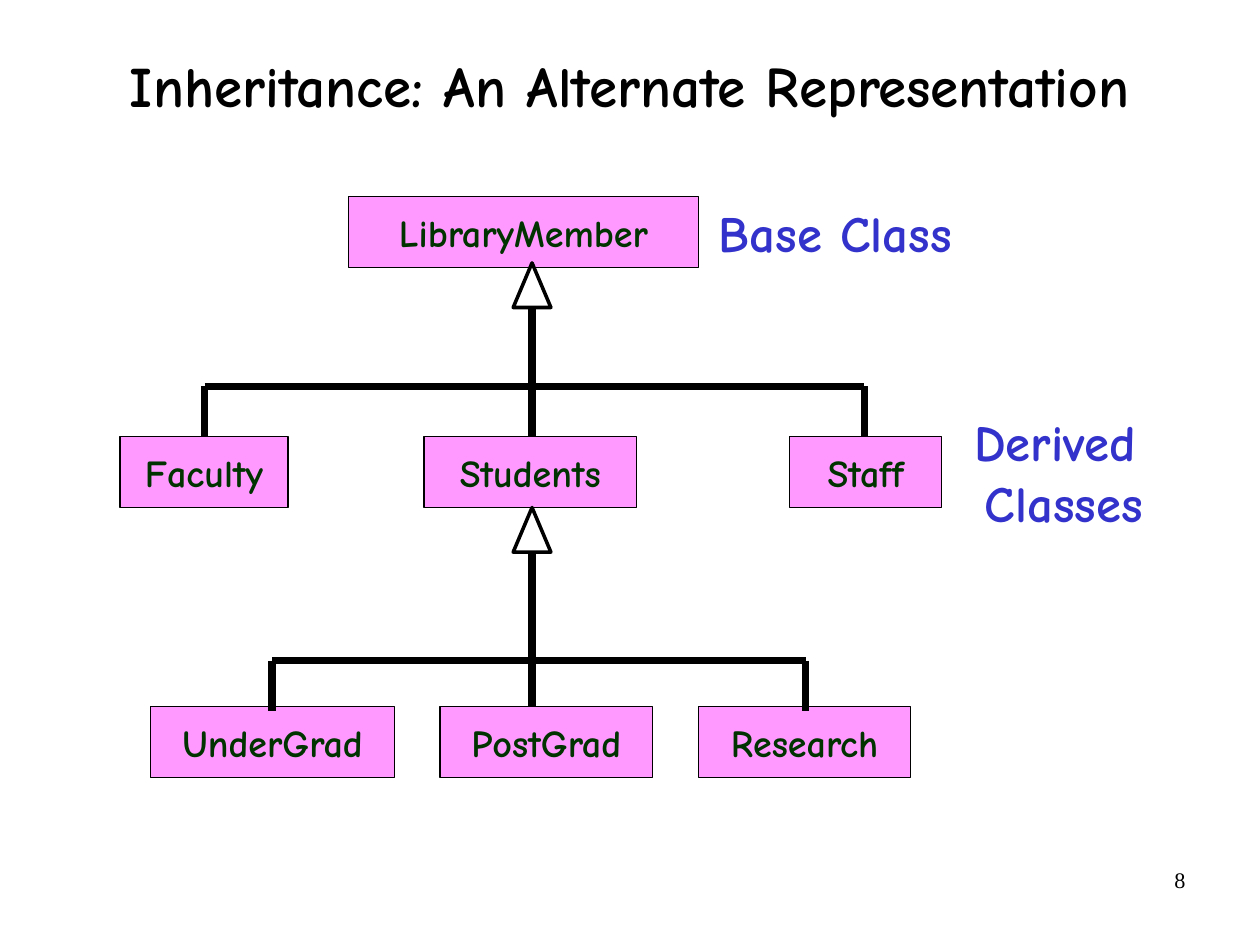
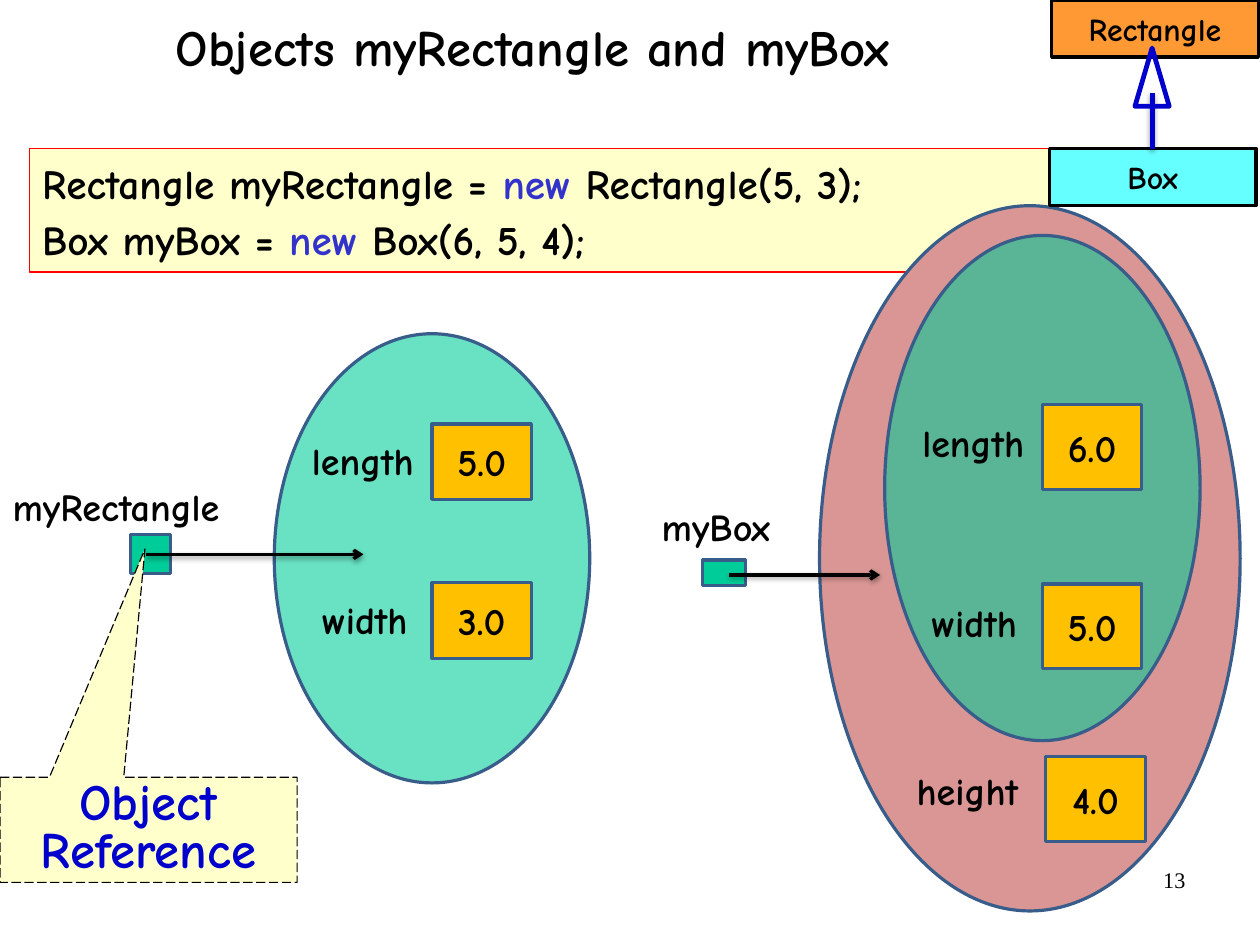
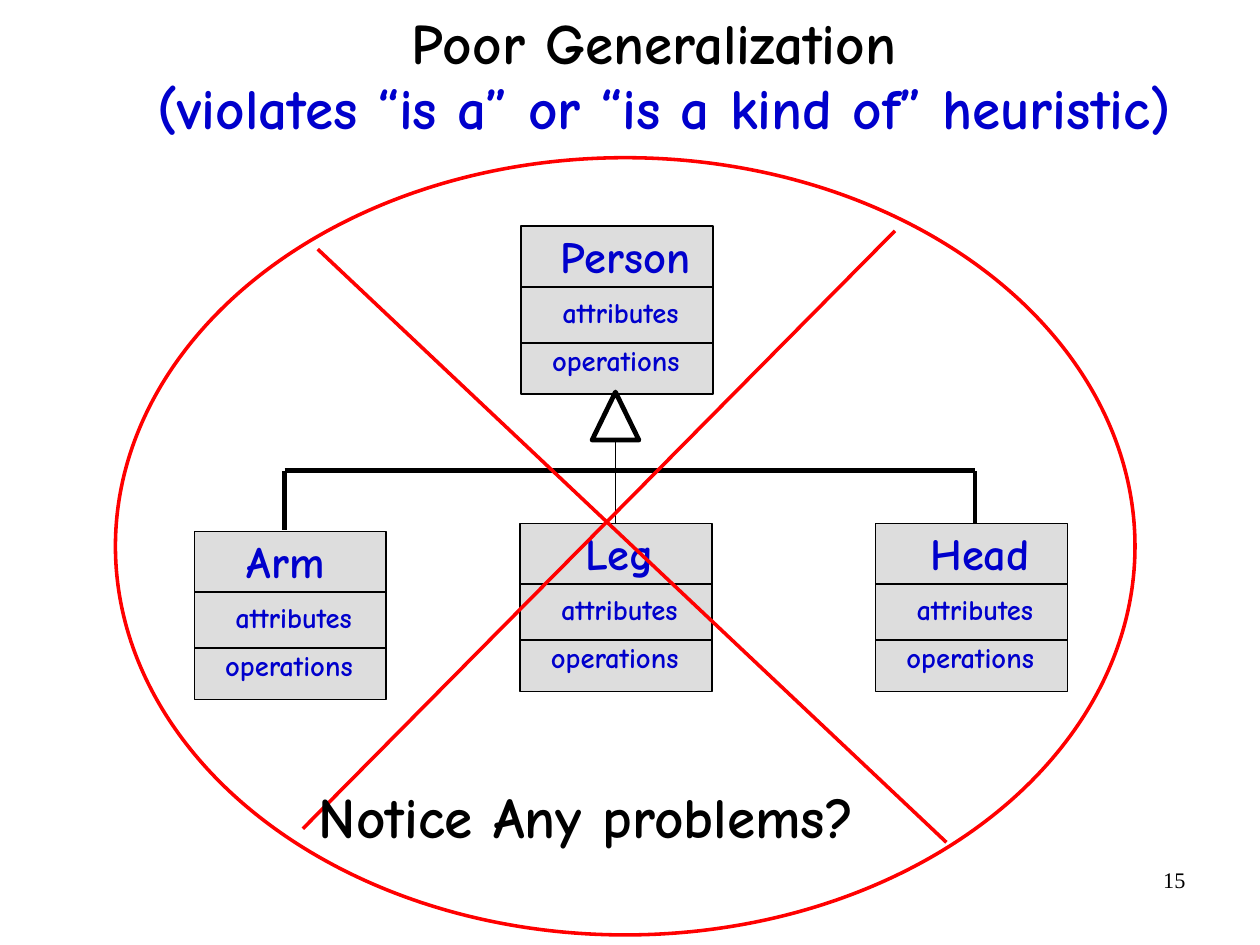
from pptx import Presentation
from pptx.dml.color import RGBColor
from pptx.enum.dml import MSO_LINE
from pptx.enum.shapes import MSO_CONNECTOR, MSO_SHAPE
from pptx.enum.text import MSO_ANCHOR, MSO_AUTO_SIZE, PP_ALIGN
from pptx.oxml.ns import qn
from pptx.util import Cm, Inches, Pt
from lxml.etree import SubElement

# Shared style
FONT = "Comic Neue"
NUMBER_FONT = "Times New Roman"
BLACK = RGBColor(0x00, 0x00, 0x00)
WHITE = RGBColor(0xFF, 0xFF, 0xFF)
RED = RGBColor(0xFF, 0x00, 0x00)
PINK = RGBColor(0xFF, 0x99, 0xFF)
DARK_GREEN = RGBColor(0x00, 0x33, 0x00)
INDIGO = RGBColor(0x33, 0x33, 0xCC)
BLUE = RGBColor(0x00, 0x00, 0xCC)
CREAM = RGBColor(0xFF, 0xFF, 0xCC)
TEAL = RGBColor(0x00, 0xCC, 0x99)
ROSE = RGBColor(0xD9, 0x96, 0x94)
STEEL = RGBColor(0x38, 0x5D, 0x8A)
AMBER = RGBColor(0xFF, 0xC0, 0x00)
ORANGE = RGBColor(0xFF, 0x99, 0x33)
CYAN = RGBColor(0x66, 0xFF, 0xFF)
GREY = RGBColor(0xDD, 0xDD, 0xDD)
INSETS = (0.11, 0.06)
NO_INSETS = (0, 0)
TITLE_ONLY = 5


# Text
def style(paragraph, size, color, align=PP_ALIGN.LEFT, spacing=None,
          font=FONT, bold=True):
    paragraph.alignment = align
    paragraph.line_spacing = spacing
    paragraph.font.name = font
    paragraph.font.size = Pt(size)
    paragraph.font.bold = bold
    paragraph.font.color.rgb = color


def set_frame(frame, insets=INSETS, anchor=MSO_ANCHOR.TOP):
    frame.word_wrap = True
    frame.auto_size = MSO_AUTO_SIZE.NONE
    frame.vertical_anchor = anchor
    frame.margin_left = frame.margin_right = Inches(insets[0])
    frame.margin_top = frame.margin_bottom = Inches(insets[1])


def write(frame, text, size, color, insets=INSETS, anchor=MSO_ANCHOR.TOP,
          **paragraph_style):
    set_frame(frame, insets, anchor)
    frame.text = text
    for paragraph in frame.paragraphs:
        style(paragraph, size, color, **paragraph_style)


def add_label(slide, box, text, size, color, **text_style):
    label = slide.shapes.add_textbox(*map(Inches, box))
    write(label.text_frame, text, size, color, **text_style)


def add_slide(prs, title, number, box, size=36, spacing=0.94):
    slide = prs.slides.add_slide(prs.slide_layouts[TITLE_ONLY])
    heading = slide.shapes.title
    heading.left, heading.top, heading.width, heading.height = map(Inches, box)
    write(heading.text_frame, title, size, BLACK, anchor=MSO_ANCHOR.MIDDLE,
          align=PP_ALIGN.CENTER, spacing=spacing)
    add_label(slide, (7.9, 7.53, 2.57, 0.57), str(number), 14, BLACK,
              insets=(0.1, 0.05), align=PP_ALIGN.RIGHT, font=NUMBER_FONT,
              bold=False)
    return slide


# Shapes and lines
def add_figure(slide, preset, box, fill, line, weight):
    figure = slide.shapes.add_shape(preset, *map(Inches, box))
    figure.shadow.inherit = False
    if fill is None:
        figure.fill.background()
    else:
        figure.fill.solid()
        figure.fill.fore_color.rgb = fill
    figure.line.color.rgb = line
    figure.line.width = Pt(weight)
    return figure


def add_text_box(slide, box, text, fill, line, weight, size, color=BLACK,
                 insets=INSETS):
    figure = add_figure(slide, MSO_SHAPE.RECTANGLE, box, fill, line, weight)
    write(figure.text_frame, text, size, color, insets, MSO_ANCHOR.MIDDLE,
          align=PP_ALIGN.CENTER)


def add_line(slide, start, end, weight, color=BLACK, shadow=False, arrow=False):
    line = slide.shapes.add_connector(
        MSO_CONNECTOR.STRAIGHT, *map(Inches, (*start, *end)))
    line.line.color.rgb = color
    line.line.width = Pt(weight)
    properties = line._element.spPr
    if arrow:
        SubElement(properties.find(qn("a:ln")), qn("a:tailEnd"), type="arrow")
    if not shadow:
        SubElement(properties, qn("a:effectLst"))


def add_inheritance(slide, triangle, weight, outline, bar_y, branches, bottom,
                    stem_bottom, stem_weight):
    """Hollow arrowhead, stem, crossbar and the drops to the outer classes."""
    left, top, width, height = triangle
    stem = left + width / 2
    add_line(slide, (stem, top + height), (stem, stem_bottom), stem_weight)
    add_line(slide, (branches[0], bar_y), (branches[1], bar_y), weight)
    for x, drop_end in zip(branches, bottom):
        add_line(slide, (x, bar_y), (x, drop_end), weight)
    add_figure(slide, MSO_SHAPE.ISOSCELES_TRIANGLE, triangle, WHITE, BLACK,
               outline)


# Object diagrams
def add_object_oval(slide, box, fill, opacity=None):
    oval = add_figure(slide, MSO_SHAPE.OVAL, box, fill, STEEL, 2)
    if opacity:
        color = oval._element.spPr.find(qn("a:solidFill"))[0]
        SubElement(color, qn("a:alpha"), val=str(opacity * 1000))


def add_field(slide, name, name_at, value, value_at, height):
    add_text_box(slide, (*value_at, 0.87, height), value, AMBER, STEEL, 2, 24)
    add_label(slide, (*name_at, 1.2, 0.51), name, 24, BLACK)


def add_reference(slide, name, name_box, square, start, end_x):
    add_label(slide, name_box, name, 24, BLACK)
    add_figure(slide, MSO_SHAPE.RECTANGLE, square, TEAL, STEEL, 2)
    add_line(slide, start, (end_x, start[1]), 2, shadow=True, arrow=True)


def add_class_card(slide, name, left, top, name_indent):
    width = 1.68
    add_figure(slide, MSO_SHAPE.RECTANGLE, (left, top, width, 1.47), GREY,
               BLACK, 1)
    for offset in (0.53, 1.02):
        add_line(slide, (left, top + offset), (left + width, top + offset), 1)
    for text, size, dx, dy, height in (
            (name, 28, name_indent, 0.05, 0.48),
            ("attributes", 18, 0.25, 0.6, 0.35),
            ("operations", 18, 0.16, 1.02, 0.35)):
        add_label(slide, (left + dx, top + dy, 1.46, height), text, size,
                  BLUE, spacing=0.8)


# Slides
def build_hierarchy(prs):
    slide = add_slide(prs, "Inheritance: An Alternate Representation", 8,
                      (0.37, 0.09, 10.28, 1.37))
    slide.shapes.title.text_frame.paragraphs[0].space_before = Pt(13.6)

    rows = ((1.72, (("LibraryMember", 3.05, 3.06),)),
            (3.82, (("Faculty", 1.05, 1.47), ("Students", 3.71, 1.86),
                    ("Staff", 6.91, 1.33))),
            (6.18, (("UnderGrad", 1.32, 2.13), ("PostGrad", 3.85, 1.86),
                    ("Research", 6.11, 1.86))))
    for top, classes in rows:
        for name, left, width in classes:
            add_text_box(slide, (left, top, width, 0.62), name, PINK, BLACK,
                         0.75, 24, DARK_GREEN, NO_INSETS)

    for text, left, top in (("Base Class", 6.21, 1.72),
                            ("Derived\n Classes", 8.13, 3.82)):
        add_label(slide, (left, top, 2.2, 0.62), text, 32, INDIGO,
                  insets=NO_INSETS, anchor=MSO_ANCHOR.MIDDLE,
                  align=PP_ALIGN.CENTER)

    for top, bar_y, branches, drop_end, stem_end in (
            (2.3, 3.38, (1.79, 7.56), 3.82, 3.82),
            (4.44, 5.78, (2.38, 7.05), 6.22, 6.18)):
        add_inheritance(slide, (4.49, top, 0.33, 0.39), 4.5, 2.25, bar_y,
                        branches, (drop_end, drop_end), stem_end, 4.5)


def add_code(slide, box, lines):
    panel = add_figure(slide, MSO_SHAPE.RECTANGLE, box, CREAM, RED, 0.75)
    frame = panel.text_frame
    set_frame(frame)
    for index, (before, after) in enumerate(lines):
        paragraph = frame.add_paragraph() if index else frame.paragraphs[0]
        style(paragraph, 26, BLACK, spacing=1.05)
        paragraph.space_before = paragraph.space_after = Pt(1.3)
        for text, color in ((before, BLACK), ("new", INDIGO), (after, BLACK)):
            run = paragraph.add_run()
            run.text = text
            run.font.color.rgb = color


def build_objects(prs):
    slide = add_slide(prs, "Objects myRectangle and myBox", 13,
                      (-0.02, 0.15, 9.37, 0.59), size=32, spacing=0.88)
    add_code(slide, (0.26, 1.3, 9, 1.08),
             (("Rectangle myRectangle = ", " Rectangle(5, 3);"),
              ("Box myBox = ", " Box(6, 5, 4);")))

    # myRectangle
    add_object_oval(slide, (2.4, 2.92, 2.76, 3.93), TEAL, 59)
    add_field(slide, "length", (2.62, 3.77), "5.0", (3.78, 3.71), 0.66)
    add_field(slide, "width", (2.71, 5.16), "3.0", (3.78, 5.1), 0.66)
    add_reference(slide, "myRectangle", (0, 4.17, 2.2, 0.51),
                  (1.14, 4.68, 0.35, 0.34), (1.28, 4.85), 3.18)

    # myBox, with its inherited part inside
    add_object_oval(slide, (7.17, 1.8, 3.68, 6.17), ROSE)
    add_object_oval(slide, (7.74, 2.06, 2.76, 4.42), TEAL, 59)
    add_field(slide, "length", (7.96, 3.61), "6.0", (9.12, 3.54), 0.74)
    add_field(slide, "width", (8.04, 5.18), "5.0", (9.12, 5.11), 0.74)
    add_field(slide, "height", (7.91, 6.65), "4.0", (9.15, 6.62), 0.74)
    add_reference(slide, "myBox", (5.68, 4.34, 1.24, 0.51),
                  (6.15, 4.9, 0.37, 0.22), (6.38, 5.03), 7.7)

    # Callout
    callout = add_figure(slide, MSO_SHAPE.RECTANGULAR_CALLOUT,
                         (0, 6.8, 2.6, 0.92), CREAM, BLACK, 0.75)
    callout.adjustments[0] = -0.012
    callout.adjustments[1] = -2.671
    callout.line.dash_style = MSO_LINE.LONG_DASH
    write(callout.text_frame, "Object Reference", 32, BLUE, (0.1, 0.05),
          MSO_ANCHOR.MIDDLE, align=PP_ALIGN.CENTER, spacing=0.8)

    # Small class diagram
    for name, left, top, fill in (("Rectangle", 9.2, 0, ORANGE),
                                  ("Box", 9.18, 1.3, CYAN)):
        add_text_box(slide, (left, top, 1.81, 0.5), name, fill, BLACK, 2, 20)
    add_line(slide, (10.08, 1.3), (10.08, 0.81), 3, BLUE, shadow=True)
    add_figure(slide, MSO_SHAPE.ISOSCELES_TRIANGLE, (9.93, 0.42, 0.3, 0.51),
               None, BLUE, 3)


def build_poor_generalization(prs):
    slide = add_slide(
        prs,
        "Poor Generalization \n(violates “is a” or “is a kind of” heuristic)",
        15, (0.56, 0.05, 10.5, 1.26), spacing=0.95)
    slide.shapes.title.text_frame.paragraphs[1].font.color.rgb = BLUE

    for card in (("Person", 4.56, 1.98, 0.23), ("Arm", 1.7, 4.65, 0.35),
                 ("Leg", 4.55, 4.58, 0.46), ("Head", 7.66, 4.58, 0.37)):
        add_class_card(slide, *card)
    add_inheritance(slide, (5.18, 3.43, 0.41, 0.42), 3, 3, 4.12, (2.49, 8.53),
                    (4.64, 4.58), 4.58, 1)

    # Crossed-out circle
    add_figure(slide, MSO_SHAPE.OVAL, (1.01, 1.38, 8.92, 6.8), None, RED, 2.25)
    add_line(slide, (7.83, 2.02), (2.65, 7.25), 2.25, RED)
    add_line(slide, (2.78, 2.18), (8.28, 7.37), 2.25, RED)
    add_label(slide, (0.43, 6.86, 9.4, 0.64), "Notice Any problems?", 36,
              BLACK, anchor=MSO_ANCHOR.MIDDLE, align=PP_ALIGN.CENTER,
              spacing=0.88)


def main():
    prs = Presentation()
    prs.slide_width = Cm(28)
    prs.slide_height = Cm(21)
    build_hierarchy(prs)
    build_objects(prs)
    build_poor_generalization(prs)
    prs.save("out.pptx")


if __name__ == "__main__":
    main()
